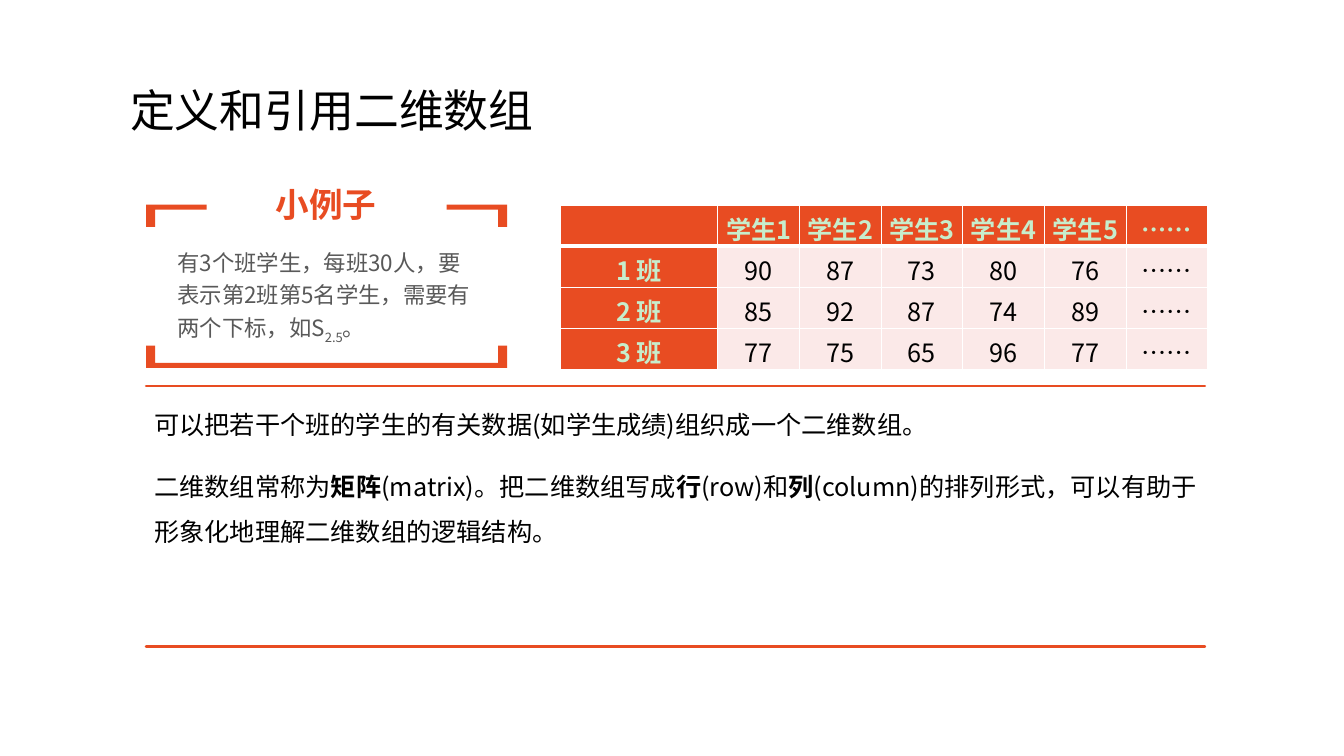
from lxml import etree
from pptx import Presentation
from pptx import util as u
from pptx.dml.color import RGBColor
from pptx.enum import text
from pptx.oxml.ns import qn

FONT = "Noto Sans CJK SC"
ORANGE = RGBColor(0xE8, 0x4C, 0x22)
MINT = RGBColor(0xC7, 0xED, 0xCC)
PINK = RGBColor(0xFB, 0xE9, 0xE8)
GRAY = RGBColor(0x59, 0x59, 0x59)
BLACK = RGBColor(0, 0, 0)
WHITE = RGBColor(0xFF, 0xFF, 0xFF)

LEFT, RIGHT = 1.45, 5.03
RULE_RIGHT = 11.95
BRACKETS = [
    [(LEFT, 3.43), (1.54, 3.43), (1.54, 3.6), (4.94, 3.6), (4.94, 3.43),
     (RIGHT, 3.43), (RIGHT, 3.65), (LEFT, 3.65)],
    [(4.43, 2.03), (RIGHT, 2.03), (RIGHT, 2.25), (4.94, 2.25), (4.94, 2.08), (4.43, 2.08)],
    [(LEFT, 2.03), (2.05, 2.03), (2.05, 2.08), (1.54, 2.08), (1.54, 2.25), (LEFT, 2.25)],
]
RULES = [[(LEFT, y), (RULE_RIGHT, y), (LEFT, y)] for y in (6.41, 3.83)]

SCORES = [
    ["", "学生1", "学生2", "学生3", "学生4", "学生5", "……"],
    ["1 班", "90", "87", "73", "80", "76", "……"],
    ["2 班", "85", "92", "87", "74", "89", "……"],
    ["3 班", "77", "75", "65", "96", "77", "……"],
]
EXAMPLE = [("有3个班学生，每班30人，要表示第2班第5名学生，需要有两个下标，如S", ""),
           ("2.5", "sub"), ("。", "")]
NOTES = [
    [("可以把若干个班的学生的有关数据(如学生成绩)组织成一个二维数组。", "")],
    [("二维数组常称为", ""), ("矩阵", "bold"), ("(matrix)。把二维数组写成", ""),
     ("行", "bold"), ("(row)和", ""), ("列", "bold"),
     ("(column)的排列形式，可以有助于形象化地理解二维数组的逻辑结构。", "")],
]


def style_span(span, size, color, bold=False):
    span.font.name = FONT
    span.font.size = u.Pt(size)
    span.font.bold = bold
    span.font.color.rgb = color
    etree.SubElement(span._r.get_or_add_rPr(), qn("a:ea"), typeface=FONT)


def fill_para(para, spans, size, color, align, spacing=None):
    para.alignment = align
    para.line_spacing = spacing
    for words, mark in spans:
        span = para.add_run()
        span.text = words
        style_span(span, size, color, mark == "bold")
        if mark == "sub":
            span._r.get_or_add_rPr().set("baseline", "-25000")


def set_frame(frame, side, end, anchor):
    frame.word_wrap = True
    frame.vertical_anchor = anchor
    frame.margin_left = frame.margin_right = u.Inches(side)
    frame.margin_top = frame.margin_bottom = u.Inches(end)


def add_outline(page, contours):
    contours = [[(u.Inches(x), u.Inches(y)) for x, y in points] for points in contours]
    builder = page.shapes.build_freeform(*contours[0][0], scale=1.0)
    for index, points in enumerate(contours):
        if index:
            builder.move_to(*points[0])
        builder.add_line_segments(points[1:], close=True)
    shape = builder.convert_to_shape()
    shape.shadow.inherit = False
    return shape


def add_title(page):
    title = page.shapes.title
    title.left, title.top = u.Inches(1.19), u.Inches(0.4)
    title.width, title.height = u.Inches(6.48), u.Inches(1.45)
    set_frame(title.text_frame, 0.1, 0.05, text.MSO_ANCHOR.MIDDLE)
    fill_para(title.text_frame.paragraphs[0], [("定义和引用二维数组", "")],
              32, BLACK, text.PP_ALIGN.LEFT, 0.9)


def add_example(page):
    frame_shape = add_outline(page, BRACKETS)
    frame_shape.fill.solid()
    frame_shape.fill.fore_color.rgb = ORANGE
    frame_shape.line.fill.background()
    set_frame(frame_shape.text_frame, 0.31, 0.39, text.MSO_ANCHOR.TOP)
    fill_para(frame_shape.text_frame.paragraphs[0], EXAMPLE, 16, GRAY,
              text.PP_ALIGN.LEFT, 1.2)
    box = page.shapes.add_textbox(u.Inches(2.45), u.Inches(1.74), u.Inches(1.57), u.Inches(0.57))
    set_frame(box.text_frame, 0, 0, text.MSO_ANCHOR.MIDDLE)
    fill_para(box.text_frame.paragraphs[0], [("小例子", "bold")], 24, ORANGE,
              text.PP_ALIGN.CENTER)


def set_borders(cell, bottom):
    props = cell._tc.get_or_add_tcPr()
    for index, (side, width) in enumerate([("L", 1), ("R", 1), ("T", 1), ("B", bottom)]):
        line = etree.Element(qn(f"a:ln{side}"), w=str(u.Pt(width)))
        solid = etree.SubElement(line, qn("a:solidFill"))
        etree.SubElement(solid, qn("a:srgbClr"), val=str(WHITE))
        props.insert(index, line)


def add_scores(page):
    table = page.shapes.add_table(len(SCORES), len(SCORES[0]), u.Inches(5.56), u.Inches(2.04),
                                  u.Inches(6.4), u.Inches(1.62)).table
    for index, column in enumerate(table.columns):
        column.width = u.Inches(0.81 if index else 1.56)
    for r, values in enumerate(SCORES):
        table.rows[r].height = u.Inches(0.41 if r else 0.39)
        for c, value in enumerate(values):
            cell = table.cell(r, c)
            heading = r == 0 or c == 0
            cell.fill.solid()
            cell.fill.fore_color.rgb = ORANGE if heading else PINK
            set_borders(cell, 1 if r else 3)
            cell.margin_left = cell.margin_right = u.Inches(0.04)
            cell.margin_top = cell.margin_bottom = u.Inches(0.05)
            if value:
                fill_para(cell.text_frame.paragraphs[0], [(value, "bold" if heading else "")],
                          18, MINT if heading else BLACK, text.PP_ALIGN.CENTER)


def add_notes_panel(page):
    panel = add_outline(page, RULES)
    panel.fill.background()
    panel.line.color.rgb = ORANGE
    panel.line.width = u.Pt(2)
    frame = panel.text_frame
    set_frame(frame, 0.08, 0.08, text.MSO_ANCHOR.TOP)
    for index, spans in enumerate(NOTES):
        para = frame.add_paragraph() if index else frame.paragraphs[0]
        fill_para(para, spans, 18, BLACK, text.PP_ALIGN.JUSTIFY, 1.5)
        para.space_before = u.Pt(6 if index else 0)
        para.space_after = u.Pt(6)


def main():
    deck = Presentation()
    deck.slide_width, deck.slide_height = u.Inches(13.33), u.Inches(7.5)
    page = deck.slides.add_slide(deck.slide_layouts[5])
    page.background.fill.solid()
    page.background.fill.fore_color.rgb = WHITE
    add_title(page)
    add_example(page)
    add_scores(page)
    add_notes_panel(page)
    deck.save("out.pptx")


if __name__ == "__main__":
    main()
